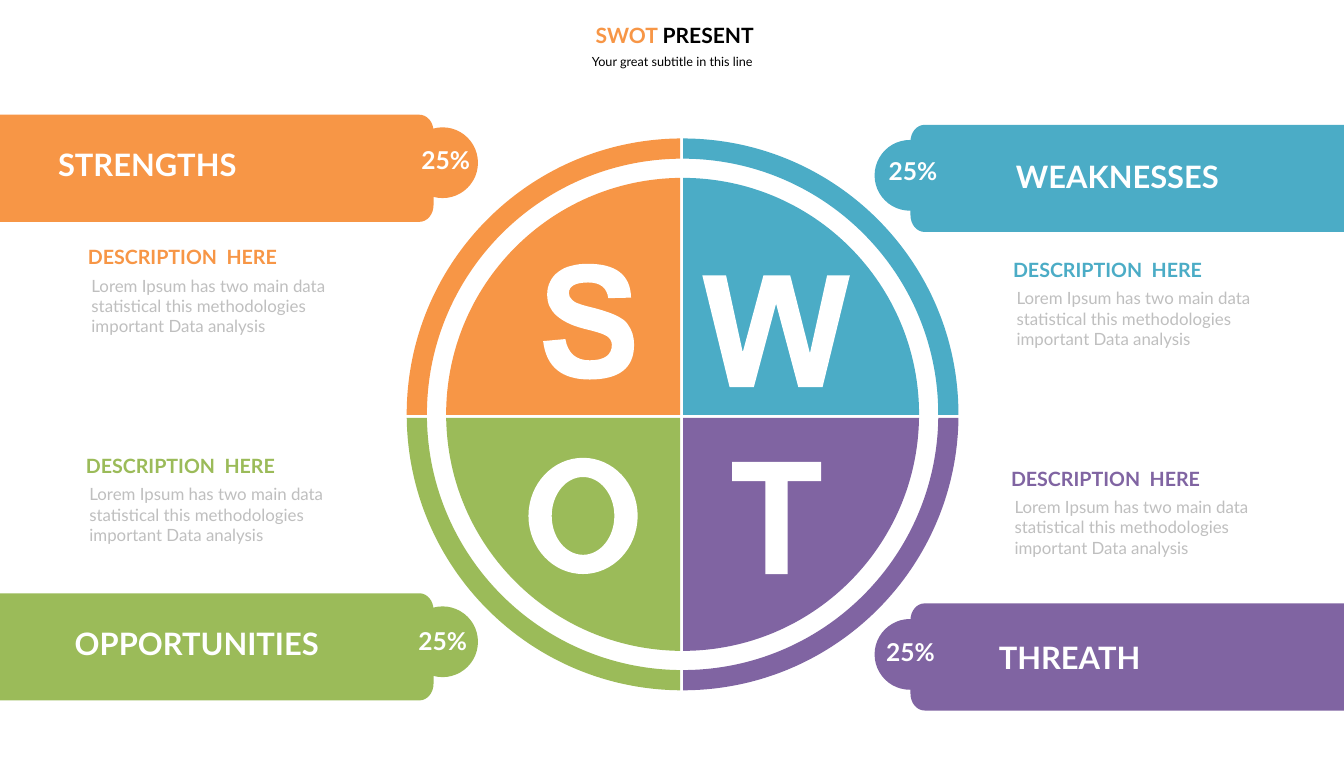
"""Build a SWOT slide: a quartered ring with four labelled ribbons."""
import math
from dataclasses import dataclass

import pptx
import pptx.dml.color
import pptx.enum.shapes
import pptx.enum.text
import pptx.oxml.ns
import pptx.util
from pptx.util import Inches

Point = tuple[float, float]
Contour = list[tuple[float, ...]]
FONT = "Lato"
WHITE, GREY, BLACK, ORANGE = "FFFFFF", "BFBFBF", "000000", "F79646"
SLIDE_W, SLIDE_H = 26.6, 15
CENTER = (13.51, 8.2)
CROSS = (13.49, 8.24)
HALF_GAP = 0.03
RING_OUTER, RING_INNER, PIE = 5.46, 5.06, 4.68
RIBBON_W, RIBBON_H, KNOB = 8.58, 2.12, 1.4
DESCRIPTION = ("Lorem Ipsum has two main data statistical this "
               "methodologies important Data analysis")


@dataclass
class Quadrant:
    name: str
    color: str
    side: int
    half: int
    ribbon_top: float
    knob: Point
    name_at: Point
    percent_at: Point
    description_at: Point


QUADRANTS = [
    Quadrant("STRENGTHS", ORANGE, -1, -1, 2.27, (8.06, 2.52), (1.05, 2.83), (8.17, 2.81), (1.54, 4.75)),
    Quadrant("WEAKNESSES", "4BACC6", 1, -1, 2.47, (17.31, 2.77), (20.01, 3.08), (17.42, 3.04), (19.85, 5)),
    Quadrant("OPPORTUNITIES", "9BBB59", -1, 1, 11.74, (8.06, 12), (1.38, 12.32), (8.11, 12.33), (1.5, 8.88)),
    Quadrant("THREATH", "8064A2", 1, 1, 11.94, (17.31, 12.25), (19.67, 12.58), (17.37, 12.56), (19.81, 9.13)),
]

S_CONTOUR = [
    (11.64, 5.22),
    (12.19, 5.22, 12.48, 5.44, 12.49, 5.89), (12.04, 5.9),
    (12.01, 5.69, 11.88, 5.59, 11.64, 5.59), (11.39, 5.59, 11.26, 5.66, 11.26, 5.8),
    (11.26, 5.85, 11.28, 5.9, 11.33, 5.94), (11.35, 5.96, 11.39, 5.99, 11.46, 6.01),
    (11.53, 6.04, 11.62, 6.06, 11.74, 6.09), (11.93, 6.14, 12.08, 6.19, 12.19, 6.24),
    (12.31, 6.3, 12.38, 6.35, 12.42, 6.41), (12.51, 6.53, 12.55, 6.67, 12.55, 6.82),
    (12.55, 7.28, 12.26, 7.51, 11.67, 7.51), (11.12, 7.51, 10.81, 7.26, 10.75, 6.75),
    (11.19, 6.71), (11.24, 6.99, 11.4, 7.13, 11.67, 7.13),
    (11.96, 7.13, 12.11, 7.03, 12.11, 6.82), (12.11, 6.79, 12.1, 6.75, 12.08, 6.72),
    (12.07, 6.7, 12.04, 6.67, 12.01, 6.65), (11.95, 6.61, 11.79, 6.56, 11.54, 6.5),
    (11.31, 6.44, 11.13, 6.35, 11.01, 6.24), (10.89, 6.13, 10.83, 6, 10.83, 5.83),
    (10.83, 5.73, 10.85, 5.65, 10.89, 5.57), (10.93, 5.49, 10.98, 5.43, 11.05, 5.38),
    (11.13, 5.32, 11.21, 5.28, 11.31, 5.26), (11.41, 5.23, 11.52, 5.22, 11.64, 5.22),
]
W_CONTOUR = [(13.9, 5.45), (14.37, 5.45), (14.7, 6.97), (15.11, 5.45), (15.64, 5.45),
             (16.03, 6.99), (16.37, 5.45), (16.82, 5.45), (16.28, 7.66), (15.8, 7.66),
             (15.36, 6.01), (14.92, 7.66), (14.44, 7.66)]
T_CONTOUR = [(14.49, 9.14), (16.25, 9.14), (16.25, 9.52), (15.59, 9.52),
             (15.59, 11.36), (15.15, 11.36), (15.15, 9.52), (14.49, 9.52)]


def rgb(color: str) -> pptx.dml.color.RGBColor:
    return pptx.dml.color.RGBColor.from_string(color)


def paint(sp, color: str) -> None:
    sp.shadow.inherit = False
    sp.fill.solid()
    sp.fill.fore_color.rgb = rgb(color)
    sp.line.fill.background()


def bend(sp, segments: Contour) -> None:
    lines = iter(list(sp.element.iter(pptx.oxml.ns.qn("a:lnTo"))))
    for segment in segments:
        nodes = [next(lines) for _ in range(len(segment) // 2)]
        if len(nodes) == 3:
            curve = nodes[0].makeelement(pptx.oxml.ns.qn("a:cubicBezTo"))
            nodes[0].addprevious(curve)
            for node in nodes:
                curve.append(node[0])
                node.getparent().remove(node)


def outline(s, color: str, *contours: Contour) -> None:
    fb = None
    for contour in contours:
        start, *points = [(seg[i] * 1000, seg[i + 1] * 1000)
                          for seg in contour for i in range(0, len(seg), 2)]
        if fb is None:
            fb = s.shapes.build_freeform(*start, scale=914.4)
        else:
            fb.move_to(*start)
        fb.add_line_segments(points)
    sp = fb.convert_to_shape()
    bend(sp, [seg for contour in contours for seg in contour[1:]])
    paint(sp, color)


def arc(center: Point, rx: float, ry: float, start: float, end: float, pieces: int = 1) -> Contour:
    step = (end - start) / pieces
    k = 4 / 3 * math.tan(step / 4)

    def at(a: float, pull: float = 0) -> Point:
        return (center[0] + rx * (math.cos(a) - pull * math.sin(a)),
                center[1] + ry * (math.sin(a) + pull * math.cos(a)))

    angles = [start + step * i for i in range(pieces)]
    return [at(start)] + [at(a, k) + at(a + step, -k) + at(a + step) for a in angles]


def quarter_arc(q: Quadrant, radius: float, back: bool = False) -> Contour:
    u = q.side * (CROSS[0] - CENTER[0]) + HALF_GAP
    v = q.half * (CROSS[1] - CENTER[1]) + HALF_GAP
    ends = [math.asin(v / radius), math.acos(u / radius)]
    return arc(CENTER, q.side * radius, q.half * radius, *(ends[::-1] if back else ends))


def draw_quarter(s, q: Quadrant) -> None:
    outline(s, q.color, quarter_arc(q, RING_OUTER) + quarter_arc(q, RING_INNER, back=True))
    corner = (CROSS[0] + q.side * HALF_GAP, CROSS[1] + q.half * HALF_GAP)
    outline(s, q.color, [corner] + quarter_arc(q, PIE))


def draw_letters(s) -> None:
    outline(s, WHITE, S_CONTOUR)
    outline(s, WHITE, W_CONTOUR)
    outline(s, WHITE, arc((11.54, 10.21), 1.08, 1.15, 0, math.tau, 4),
            arc((11.54, 10.21), 0.62, 0.77, math.tau, 0, 4))
    outline(s, WHITE, T_CONTOUR)


def set_frame(tf, inset: Point) -> None:
    tf.word_wrap = True
    tf.auto_size = pptx.enum.text.MSO_AUTO_SIZE.NONE
    tf.vertical_anchor = pptx.enum.text.MSO_ANCHOR.TOP
    tf.margin_left = tf.margin_right = Inches(inset[0])
    tf.margin_top = tf.margin_bottom = Inches(inset[1])


def write(p, text: str, size: float, color: str, bold: bool = True, centered: bool = False) -> None:
    p.text = text
    p.font.name, p.font.size, p.font.bold = FONT, pptx.util.Pt(size), bold
    p.font.color.rgb = rgb(color)
    p.alignment = pptx.enum.text.PP_ALIGN.CENTER if centered else pptx.enum.text.PP_ALIGN.LEFT


def add_text(s, at: Point, size: Point, text: str, points: float, color: str,
             bold: bool = True, centered: bool = False, inset: Point = (0.1, 0.05)) -> None:
    tf = s.shapes.add_textbox(*map(Inches, at + size)).text_frame
    set_frame(tf, inset)
    write(tf.paragraphs[0], text, points, color, bold, centered)


def draw_ribbon(s, q: Quadrant) -> None:
    edge = 0 if q.side < 0 else SLIDE_W
    top, bottom, rx, ry = q.ribbon_top, q.ribbon_top + RIBBON_H, 0.28, 0.33
    x = edge - q.side * (RIBBON_W - rx)
    outline(s, q.color, [(edge, top)] + arc((x, top + ry), -q.side * rx, ry, -math.pi / 2, 0)
            + arc((x, bottom - ry), -q.side * rx, ry, 0, math.pi / 2) + [(edge, bottom)])
    oval = pptx.enum.shapes.MSO_SHAPE.OVAL
    paint(s.shapes.add_shape(oval, *map(Inches, q.knob + (KNOB, KNOB))), q.color)
    add_text(s, q.name_at, (5.52, 0.84), q.name, 44, WHITE)
    add_text(s, q.percent_at, (1.3, 0.69), "25%", 35, WHITE, centered=True)


def draw_description(s, q: Quadrant) -> None:
    x, y = q.description_at
    add_text(s, (x + 0.03, y + 0.58), (5.96, 1.45), DESCRIPTION, 24, GREY, False, inset=(0.24, 0.12))
    add_text(s, (x, y), (4.61, 0.67), "DESCRIPTION  HERE", 28, q.color, inset=(0.2, 0.1))


def place(sp, x: float, y: float, w: float, h: float) -> None:
    sp.left, sp.top, sp.width, sp.height = map(Inches, (x, y, w, h))


def draw_heading(s) -> None:
    title, subtitle = s.shapes.title, s.placeholders[1]
    place(title, 8.3, 0.34, 10.11, 0.71)
    set_frame(title.text_frame, (0.2, 0.1))
    p = title.text_frame.paragraphs[0]
    write(p, "SWOT ", 30, BLACK, centered=True)
    p.runs[0].font.color.rgb = rgb(ORANGE)
    p.add_run().text = "PRESENT"
    place(subtitle, 9.22, 0.95, 8.17, 0.55)
    set_frame(subtitle.text_frame, (0.24, 0.12))
    p = subtitle.text_frame.paragraphs[0]
    write(p, "Your great subtitle in this line", 18, BLACK, False, True)
    p.space_before = pptx.util.Pt(0)


prs = pptx.Presentation()
prs.slide_width, prs.slide_height = Inches(SLIDE_W), Inches(SLIDE_H)
s = prs.slides.add_slide(prs.slide_layouts[0])
draw_heading(s)
for q in QUADRANTS:
    draw_quarter(s, q)
    draw_ribbon(s, q)
    draw_description(s, q)
draw_letters(s)
prs.save("out.pptx")
